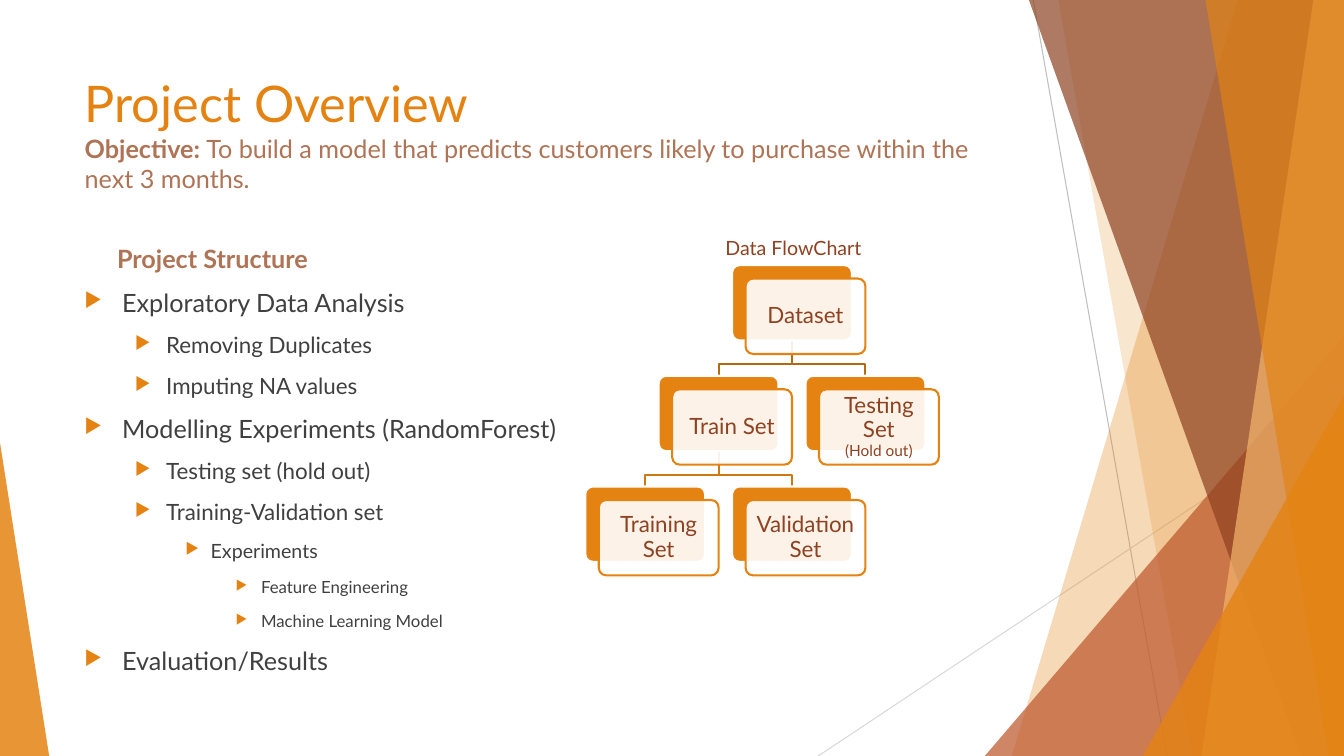
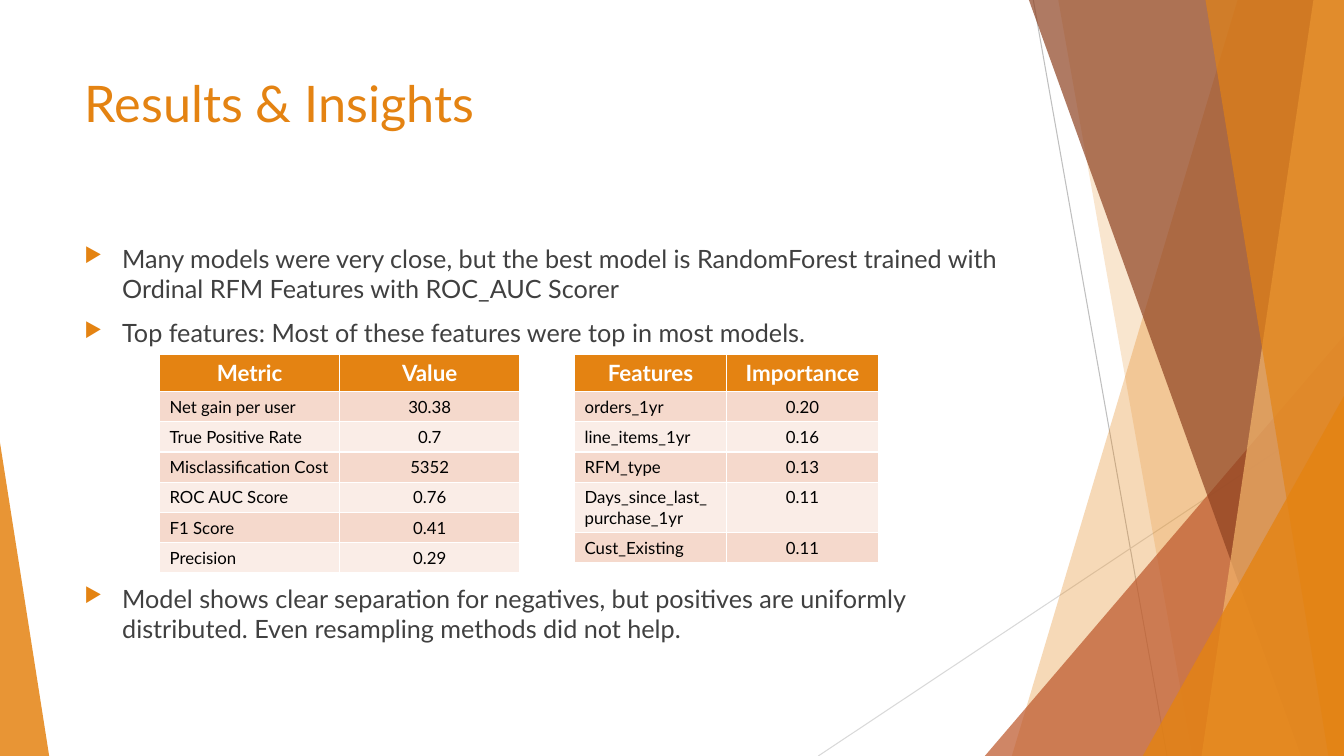
from dataclasses import dataclass

from lxml.etree import SubElement
from pptx import Presentation
from pptx.dml.color import RGBColor as RGB
from pptx.enum.shapes import MSO_CONNECTOR, MSO_SHAPE
from pptx.enum.text import MSO_ANCHOR, MSO_AUTO_SIZE, PP_ALIGN
from pptx.oxml.ns import qn
from pptx.util import Cm, Pt


@dataclass(frozen=True)
class Theme:
    font: str = "Lato"
    orange: RGB = RGB(0xE4, 0x83, 0x12)
    rust: RGB = RGB(0xBD, 0x58, 0x2C)
    brown: RGB = RGB(0x8E, 0x42, 0x21)
    soft_brown: RGB = RGB(0xAF, 0x73, 0x55)
    peach: RGB = RGB(0xF3, 0xB5, 0x6C)
    text: RGB = RGB(0x40, 0x40, 0x40)
    black: RGB = RGB(0, 0, 0)
    white: RGB = RGB(0xFF, 0xFF, 0xFF)
    grey: RGB = RGB(0xBF, 0xBF, 0xBF)
    light_grey: RGB = RGB(0xD9, 0xD9, 0xD9)
    upper_branch: RGB = RGB(0xB7, 0x69, 0x0E)
    lower_branch: RGB = RGB(0xCF, 0x77, 0x10)
    row_dark: RGB = RGB(0xF5, 0xD9, 0xCC)
    row_light: RGB = RGB(0xFA, 0xED, 0xE7)
    title_size: int = 36
    lead_size: int = 18
    node_size: int = 16
    note_size: int = 11
    caption_size: int = 14
    header_size: int = 16
    cell_size: int = 12


theme = Theme()


def set_font(paragraph, size, color, bold=False):
    font = paragraph.font
    font.name, font.size, font.bold = theme.font, Pt(size), bold
    font.color.rgb = color


def paint(shape, fill, opacity=100, outline=None):
    """Fill a shape, with opacity in percent and an optional outline colour."""
    shape.shadow.inherit = False
    shape.fill.solid()
    shape.fill.fore_color.rgb = fill
    if opacity < 100:
        color = shape.element.spPr.find(qn("a:solidFill"))[0]
        SubElement(color, qn("a:alpha"), val=str(opacity * 1000))
    if outline is None:
        shape.line.fill.background()
    else:
        shape.line.color.rgb = outline
        shape.line.width = Pt(1.5)


prs = Presentation()
prs.slide_width, prs.slide_height = Cm(33.87), Cm(19.05)
right, bottom = prs.slide_width, prs.slide_height

layout = prs.slide_layouts[5]
layout_title, *layout_footers = layout.placeholders
for footer in layout_footers:
    footer.element.getparent().remove(footer.element)
layout_title.left, layout_title.top = Cm(1.88), Cm(1.7)
layout_title.width, layout_title.height = Cm(23.88), Cm(3.66)

# Titles and bullets: (level, text, points before); level None is a heading
HEADING_INDENT = Cm(0.82)
LEVELS = [  # size, left indent, hanging indent
    (18, Cm(0.95), Cm(0.95)),
    (16, Cm(2.06), Cm(0.79)),
    (14, Cm(3.18), Cm(0.64)),
    (12, Cm(4.45), Cm(0.64)),
]
GAP = 10
TABLE_GAP = 168
deck = {
    "Project Overview": [
        (None, "Project Structure", GAP),
        (0, "Exploratory Data Analysis", GAP),
        (1, "Removing Duplicates", GAP),
        (1, "Imputing NA values", GAP),
        (0, "Modelling Experiments (RandomForest)", GAP),
        (1, "Testing set (hold out)", GAP),
        (1, "Training-Validation set", GAP),
        (2, "Experiments", GAP),
        (3, "Feature Engineering", GAP),
        (3, "Machine Learning Model", GAP),
        (0, "Evaluation/Results", GAP),
    ],
    "Results & Insights": [
        (0, "Many models were very close, but the best model is RandomForest "
            "trained with Ordinal RFM Features with ROC_AUC Scorer", GAP),
        (0, "Top features: Most of these features were top in most models.", GAP),
        (0, "Model shows clear separation for negatives, but positives are "
            "uniformly distributed. Even resampling methods did not help.", TABLE_GAP),
    ],
}

for heading, bullets in deck.items():
    slide = prs.slides.add_slide(layout)
    title = slide.shapes.title.text_frame
    title.text = heading
    title.vertical_anchor = MSO_ANCHOR.TOP
    title.auto_size = MSO_AUTO_SIZE.NONE
    title.paragraphs[0].alignment = PP_ALIGN.LEFT
    set_font(title.paragraphs[0], theme.title_size, theme.orange)

    body = slide.shapes.add_textbox(Cm(1.88), Cm(6), Cm(23.88), Cm(10.77)).text_frame
    body.word_wrap = True
    for index, (level, text, gap) in enumerate(bullets):
        line = body.add_paragraph() if index else body.paragraphs[0]
        line.text = text
        props = line._p.get_or_add_pPr()
        if level is None:
            props.set("marL", str(HEADING_INDENT))
            set_font(line, theme.lead_size, theme.soft_brown, bold=True)
        else:
            size, left, hang = LEVELS[level]
            props.set("marL", str(left))
            props.set("indent", str(-hang))
            bullet_color = SubElement(props, qn("a:buClr"))
            SubElement(bullet_color, qn("a:srgbClr"), val=str(theme.orange))
            SubElement(props, qn("a:buSzPct"), val="80000")
            SubElement(props, qn("a:buChar"), char="▶")
            set_font(line, size, theme.text)
        line.space_before = Pt(gap)

overview, results = prs.slides

# Shared backdrop, drawn once and moved to the layout
backdrop = []
for x1, y1, x2, y2, color in [
    (Cm(26.04), 0, Cm(29.41), bottom, theme.grey),
    (right, Cm(10.24), Cm(20.62), bottom, theme.light_grey),
]:
    ray = overview.shapes.add_connector(MSO_CONNECTOR.STRAIGHT, x1, y1, x2, y2)
    ray.line.color.rgb = color
    ray.line.width = Pt(0.75)
    SubElement(ray.element.spPr, qn("a:effectLst"))
    backdrop.append(ray)

# Bands reach the right edge: (top x, bottom x); triangles: (left, top, width, apex)
for outline, color, opacity in [
    ((31.19, 25.5), theme.orange, 30),
    ((26.67, 30.05), theme.orange, 20),
    ((24.82, 8.46, 9.05, 1), theme.rust, 72),
    ((25.93, 32.79), theme.brown, 70),
    ((33.1, 30.28), theme.peach, 70),
    ((30.38, 33.48), theme.orange, 65),
    ((28.8, 9.98, 5.07, 1), theme.orange, 80),
    ((0, 11.15, 1.24, 0), theme.orange, 85),
]:
    if len(outline) == 2:
        top_x, bottom_x = map(Cm, outline)
        band = overview.shapes.build_freeform(top_x, 0)
        band.add_line_segments([(right, 0), (right, bottom), (bottom_x, bottom)])
        facet = band.convert_to_shape()
    else:
        left, top, width = map(Cm, outline[:3])
        facet = overview.shapes.add_shape(
            MSO_SHAPE.ISOSCELES_TRIANGLE, left, top, width, bottom - top)
        facet.adjustments[0] = outline[3]
    paint(facet, color, opacity)
    backdrop.append(facet)
for part in backdrop:
    layout.shapes.element.append(part.element)

# Project Overview: objective and data flowchart
objective = overview.shapes.title.text_frame.add_paragraph()
objective.alignment = PP_ALIGN.LEFT
set_font(objective, theme.lead_size, theme.soft_brown)
label = objective.add_run()
label.text = "Objective: "
label.font.bold = True
objective.add_run().text = (
    "To build a model that predicts customers likely to purchase within the next 3 months.")

NODE_W, NODE_H, OFFSET = Cm(3.02), Cm(1.9), Cm(0.34)
nodes = {  # column in half steps, level, lines
    "dataset": (2, 0, ["Dataset"]),
    "train": (1, 1, ["Train Set"]),
    "testing": (3, 1, ["Testing Set", "(Hold out)"]),
    "training": (0, 2, ["Training Set"]),
    "validation": (2, 2, ["Validation Set"]),
}
corners = {
    name: (Cm(14.75 + 1.85 * column), Cm(6.68 + 2.79 * level))
    for name, (column, level, _) in nodes.items()
}
for parent, child, color in [
    ("dataset", "train", theme.upper_branch),
    ("dataset", "testing", theme.upper_branch),
    ("train", "training", theme.lower_branch),
    ("train", "validation", theme.lower_branch),
]:
    (start_x, start_y), (end_x, end_y) = corners[parent], corners[child]
    start_x, end_x = start_x + NODE_W // 2, end_x + NODE_W // 2
    bend_y = end_y - Cm(0.29)
    path_builder = overview.shapes.build_freeform(start_x, start_y + NODE_H)
    path_builder.add_line_segments(
        [(start_x, bend_y), (end_x, bend_y), (end_x, end_y)], close=False)
    branch = path_builder.convert_to_shape()
    branch.shadow.inherit = False
    branch.fill.background()
    branch.line.color.rgb = color
    branch.line.width = Pt(1.5)

for name, (_, _, lines) in nodes.items():
    x, y = corners[name]
    for shift, fill, opacity, edge in [
        (0, theme.orange, 100, theme.white),
        (OFFSET, theme.white, 90, theme.orange),
    ]:
        card = overview.shapes.add_shape(
            MSO_SHAPE.ROUNDED_RECTANGLE, x + shift, y + shift, NODE_W, NODE_H)
        card.adjustments[0] = 0.1
        paint(card, fill, opacity, edge)
    frame = card.text_frame
    frame.word_wrap = True
    frame.vertical_anchor = MSO_ANCHOR.MIDDLE
    frame.margin_left = frame.margin_right = Cm(0.18)
    frame.margin_top = frame.margin_bottom = Cm(0.18)
    frame.text = "\n".join(lines)
    for line, size in zip(frame.paragraphs, (theme.node_size, theme.note_size)):
        line.alignment = PP_ALIGN.CENTER
        line.line_spacing = 0.9
        set_font(line, size, theme.brown)

caption = overview.shapes.add_textbox(Cm(18.03), Cm(5.82), Cm(3.96), Cm(0.86)).text_frame
caption.word_wrap = False
caption.text = "Data FlowChart"
set_font(caption.paragraphs[0], theme.caption_size, theme.brown)

# Results & Insights: tables
HEADER_H, ROW_H = Cm(0.93), Cm(0.76)
metrics = [
    ("Metric", "Value"),
    ("Net gain per user", "30.38"),
    ("True Positive Rate", "0.7"),
    ("Misclassification Cost", "5352"),
    ("ROC AUC Score", "0.76"),
    ("F1 Score", "0.41"),
    ("Precision", "0.29"),
]
features = [
    ("Features", "Importance"),
    ("orders_1yr", "0.20"),
    ("line_items_1yr", "0.16"),
    ("RFM_type", "0.13"),
    ("Days_since_last_purchase_1yr", "0.11"),
    ("Cust_Existing", "0.11"),
]
for records, left, column_w in [
    (metrics, Cm(4.02), Cm(4.54)),
    (features, Cm(14.48), Cm(3.83)),
]:
    table = results.shapes.add_table(
        len(records), 2, left, Cm(8.93), 2 * column_w,
        HEADER_H + ROW_H * (len(records) - 1)).table
    for row_index, record in enumerate(records):
        is_header = row_index == 0
        table.rows[row_index].height = HEADER_H if is_header else ROW_H
        for column_index, value in enumerate(record):
            cell = table.cell(row_index, column_index)
            cell.text = value
            cell.fill.solid()
            entry = cell.text_frame.paragraphs[0]
            centred = is_header or column_index == 1
            entry.alignment = PP_ALIGN.CENTER if centred else PP_ALIGN.LEFT
            if is_header:
                cell.fill.fore_color.rgb = theme.orange
                set_font(entry, theme.header_size, theme.white, bold=True)
            else:
                cell.fill.fore_color.rgb = theme.row_dark if row_index % 2 else theme.row_light
                set_font(entry, theme.cell_size, theme.black)

prs.save("out.pptx")
